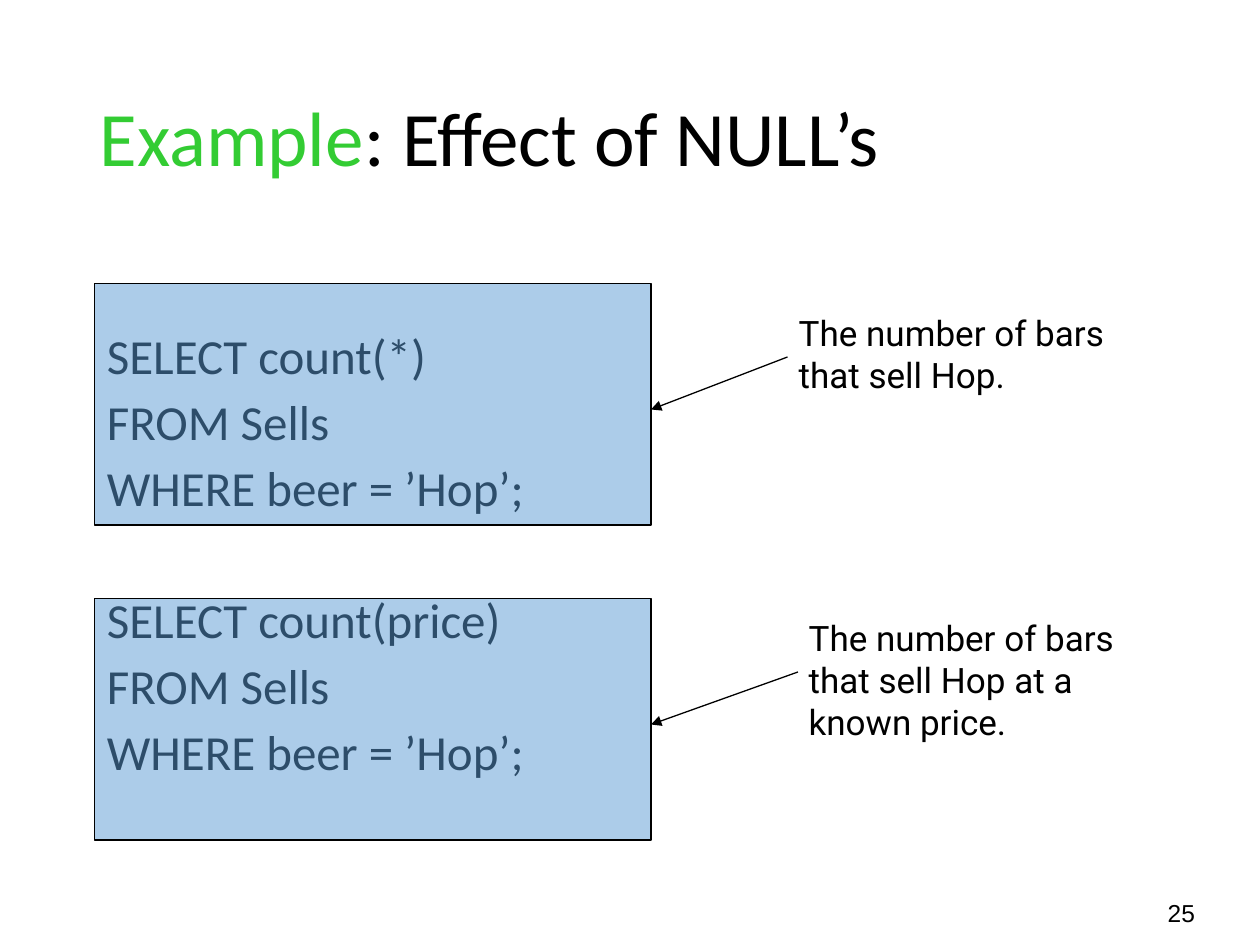
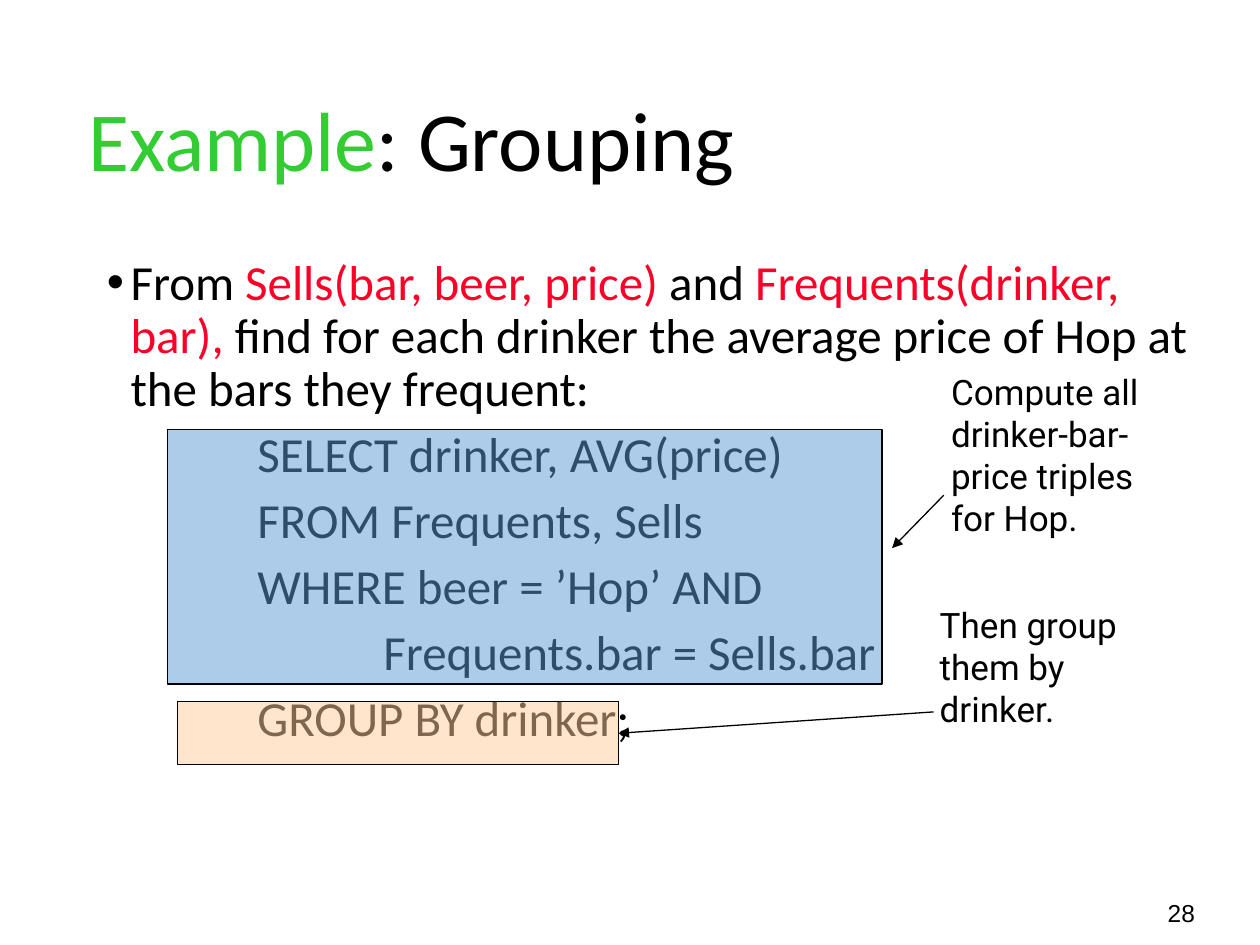
from dataclasses import dataclass

from lxml import etree
from pptx import Presentation
from pptx.dml.color import RGBColor
from pptx.enum.shapes import MSO_CONNECTOR, MSO_SHAPE
from pptx.enum.text import MSO_ANCHOR, MSO_AUTO_SIZE, PP_ALIGN
from pptx.oxml.ns import qn
from pptx.util import Pt

RECTANGLE = MSO_SHAPE.RECTANGLE
STRAIGHT = MSO_CONNECTOR.STRAIGHT
LEFT, MIDDLE, NO_FIT = PP_ALIGN.LEFT, MSO_ANCHOR.MIDDLE, MSO_AUTO_SIZE.NONE
RIGHT_SIDE = 3
TITLE_ONLY = 5


@dataclass(frozen=True)
class Theme:
    ink: str = "000000"
    example: str = "33CC33"
    relation: str = "FC0128"
    blue: str = "5B9BD5"
    peach: str = "FFCC99"
    main_font: str = "Calibri"
    note_font: str = "Roboto"
    number_font: str = "Arial"
    body_size: int = 28
    note_size: int = 20
    number_size: int = 14
    line: float = 0.75
    spacing: float = 0.9
    gap: float = 7.5
    hang: float = 13.5
    opacity: int = 50000


THEME = Theme()
CODE_INDENT, DEEP_INDENT = 86, 158
NUMBER_AREA = (660.2, 509.8, 41.8, 24.5)

SLIDES = [
    {
        "number": "25",
        "title": ": Effect of NULL’s",
        "title_area": (49.7, 28.8, 621.4, 104.4),
        "title_size": 44,
        "bodies": [
            ((54, 186, 612, 120), [
                (0, [("SELECT count(*)", THEME.ink)]),
                (0, [("FROM Sells", THEME.ink)]),
                (0, [("WHERE beer = ’Hop’;", THEME.ink)]),
            ]),
            ((54, 337, 612, 120), [
                (0, [("SELECT count(price)", THEME.ink)]),
                (0, [("FROM Sells", THEME.ink)]),
                (0, [("WHERE beer = ’Hop’;", THEME.ink)]),
            ]),
        ],
        "callouts": [
            {"panel": (54, 162, 318, 138), "color": THEME.blue,
             "note": ["The number of bars", "that sell Hop."],
             "note_area": (449.3, 174.2, 201, 55.4),
             "arrow": (450, 204, 372, 234)},
            {"panel": (54, 342, 318, 138), "color": THEME.blue,
             "note": ["The number of bars", "that sell Hop at a", "known price."],
             "note_area": (455, 348.5, 201, 79.2),
             "arrow": (456, 384, 372, 414)},
        ],
    },
    {
        "number": "28",
        "title": ": Grouping",
        "title_area": (43.2, 30.2, 621.4, 104.4),
        "title_size": 48,
        "bodies": [
            ((54, 144, 644.4, 347.8), [
                (None, [
                    ("From ", THEME.ink),
                    ("Sells(bar, beer, price)", THEME.relation),
                    (" and ", THEME.ink),
                    ("Frequents(drinker, bar),", THEME.relation),
                    (" find for each drinker the average price of Hop at "
                     "the bars they frequent:", THEME.ink),
                ]),
                (CODE_INDENT, [("SELECT drinker, AVG(price)", THEME.ink)]),
                (CODE_INDENT, [("FROM Frequents, Sells", THEME.ink)]),
                (CODE_INDENT, [("WHERE beer = ’Hop’ AND", THEME.ink)]),
                (DEEP_INDENT, [("Frequents.bar = Sells.bar", THEME.ink)]),
                (CODE_INDENT, [("GROUP BY drinker;", THEME.ink)]),
            ]),
        ],
        "callouts": [
            {"panel": (95.8, 245.5, 408.2, 145.4), "color": THEME.blue,
             "note": ["Compute all", "drinker-bar-", "price triples", "for Hop."],
             "note_area": (536.4, 208.1, 127.4, 103.7),
             "arrow": (539.3, 283, 509.8, 313.2)},
            {"panel": (101.5, 401, 252, 36), "color": THEME.peach,
             "note": ["Then group", "them by", "drinker."],
             "note_area": (529.9, 341.3, 123.8, 79.2),
             "arrow": (533.5, 406.8, 353.5, 419)},
        ],
    },
]


def points(values):
    return [Pt(value) for value in values]


def style(font, name, size, color=THEME.ink):
    font.name = name
    font.size = Pt(size)
    font.color.rgb = RGBColor.from_string(color)


def add_spans(para, spans, size):
    if len(spans) == 1:
        style(para.font, THEME.main_font, size, spans[0][1])
    for text, color in spans:
        span = para.add_run()
        span.text = text
        if len(spans) > 1:
            style(span.font, THEME.main_font, size, color)


def add_box(page, area):
    box = page.shapes.add_textbox(*points(area))
    box.text_frame.word_wrap = True
    return box.text_frame


def paragraphs(frame, items):
    for index, item in enumerate(items):
        yield frame.add_paragraph() if index else frame.paragraphs[0], item


def add_lines(page, area, lines, font, size):
    for para, line in paragraphs(add_box(page, area), lines):
        para.text = line
        style(para.font, font, size)


def set_title(page, text, area, size):
    title = page.shapes.title
    title.left, title.top, title.width, title.height = points(area)
    frame = title.text_frame
    frame.auto_size = NO_FIT
    frame.vertical_anchor = MIDDLE
    para = frame.paragraphs[0]
    para.alignment = LEFT
    para.line_spacing = THEME.spacing
    add_spans(para, [("Example", THEME.example), (text, THEME.ink)], size)


def add_body(page, area, items):
    for para, (indent, spans) in paragraphs(add_box(page, area), items):
        para.line_spacing = THEME.spacing
        para.space_before = Pt(THEME.gap)
        add_spans(para, spans, THEME.body_size)
        properties = para._p.get_or_add_pPr()
        if indent is None:
            properties.set("marL", str(Pt(THEME.hang)))
            properties.set("indent", str(-Pt(THEME.hang)))
            etree.SubElement(properties, qn("a:buFont")).set("typeface", THEME.number_font)
            etree.SubElement(properties, qn("a:buChar")).set("char", "•")
        else:
            properties.set("marL", str(Pt(indent)))


def add_panel(page, area, color):
    panel = page.shapes.add_shape(RECTANGLE, *points(area))
    panel.shadow.inherit = False
    panel.fill.solid()
    panel.fill.fore_color.rgb = RGBColor.from_string(color)
    tint = panel._element.spPr.find(".//" + qn("a:srgbClr"))
    etree.SubElement(tint, qn("a:alpha")).set("val", str(THEME.opacity))
    panel.line.color.rgb = RGBColor.from_string(THEME.ink)
    panel.line.width = Pt(THEME.line)
    return panel


def add_arrow(page, ends, panel):
    arrow = page.shapes.add_connector(STRAIGHT, *points(ends))
    arrow.line.color.rgb = RGBColor.from_string(THEME.ink)
    arrow.line.width = Pt(THEME.line)
    tail = etree.SubElement(arrow.line._get_or_add_ln(), qn("a:tailEnd"))
    tail.set("type", "triangle")
    etree.SubElement(arrow._element.spPr, qn("a:effectLst"))
    side = (panel.left + panel.width, panel.top + panel.height // 2)
    if all(abs(a - b) < Pt(1) for a, b in zip(side, points(ends[2:]))):
        arrow.end_connect(panel, RIGHT_SIDE)


def add_callout(page, callout):
    panel = add_panel(page, callout["panel"], callout["color"])
    add_lines(page, callout["note_area"], callout["note"],
              THEME.note_font, THEME.note_size)
    add_arrow(page, callout["arrow"], panel)


def main():
    deck = Presentation()
    deck.slide_width, deck.slide_height = Pt(720), Pt(540)
    for content in SLIDES:
        page = deck.slides.add_slide(deck.slide_layouts[TITLE_ONLY])
        set_title(page, content["title"], content["title_area"], content["title_size"])
        add_lines(page, NUMBER_AREA, [content["number"]],
                  THEME.number_font, THEME.number_size)
        for area, items in content["bodies"]:
            add_body(page, area, items)
        for callout in content["callouts"]:
            add_callout(page, callout)
    deck.save("out.pptx")


if __name__ == "__main__":
    main()
